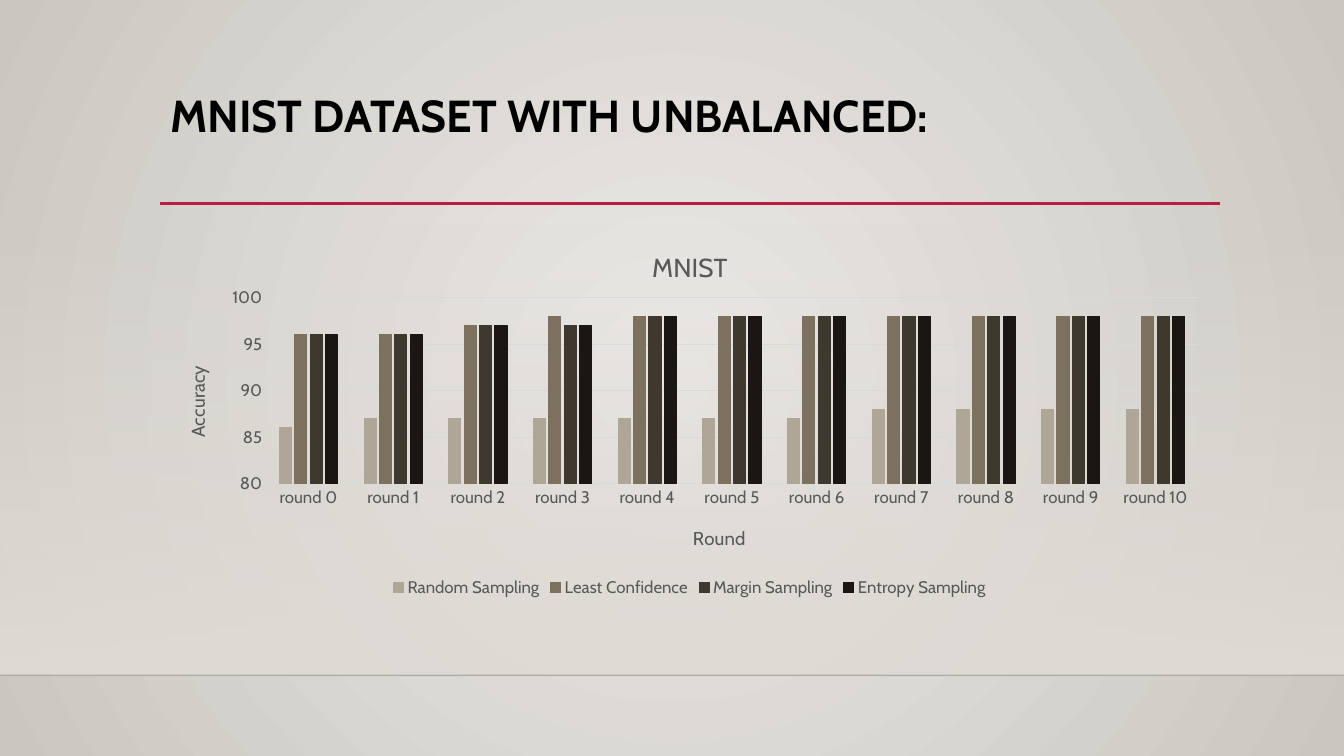
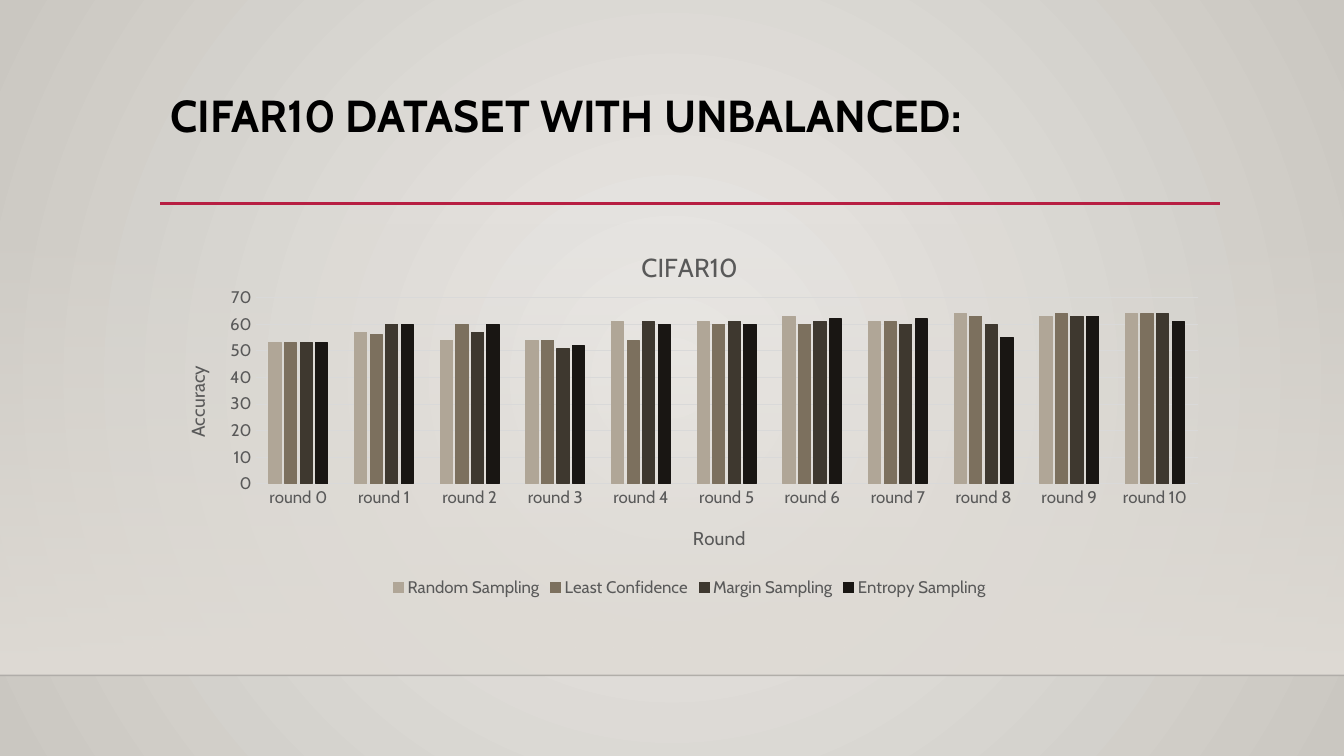
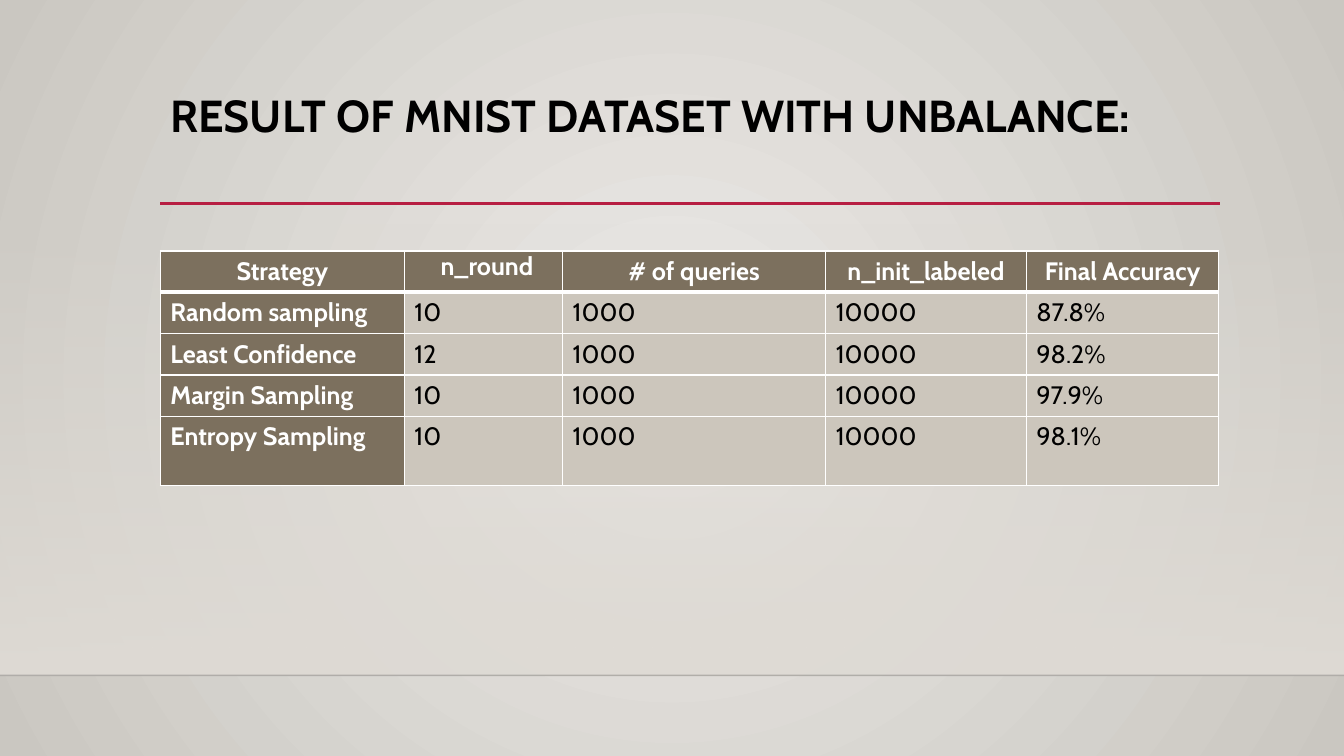
from lxml import etree
from pptx import Presentation
from pptx.chart.data import CategoryChartData
from pptx.dml.color import RGBColor
from pptx.enum.chart import XL_CHART_TYPE, XL_LEGEND_POSITION, XL_TICK_MARK
from pptx.enum.shapes import MSO_CONNECTOR, MSO_SHAPE, PP_PLACEHOLDER
from pptx.enum.text import MSO_ANCHOR, MSO_AUTO_SIZE, PP_ALIGN
from pptx.oxml.ns import qn
from pptx.util import Inches, Pt

COLUMNS = XL_CHART_TYPE.COLUMN_CLUSTERED
BOTTOM = XL_LEGEND_POSITION.BOTTOM
NO_TICK = XL_TICK_MARK.NONE
STRAIGHT = MSO_CONNECTOR.STRAIGHT
RECTANGLE = MSO_SHAPE.RECTANGLE
TITLE = PP_PLACEHOLDER.TITLE
TOP = MSO_ANCHOR.TOP
NO_AUTOFIT = MSO_AUTO_SIZE.NONE
LEFT, CENTER = PP_ALIGN.LEFT, PP_ALIGN.CENTER

FONT = "Cabin"
TITLE_ONLY = 5
MARGIN, CONTENT_WIDTH = 1.59, 10.5
COLORS = {
    "center": "ECEAE7",
    "edge": "CAC7C1",
    "band": "DFDBD5",
    "floor": "000001",
    "accent": "B71E42",
    "black": "000000",
    "white": "FFFFFF",
    "chart_text": "595959",
    "grid": "D9D9D9",
    "header": "7C705E",
    "body": "CCC6BC",
}
SERIES_COLORS = {
    "Random Sampling": "B0A697",
    "Least Confidence": "7C705E",
    "Margin Sampling": "3E382F",
    "Entropy Sampling": "191613",
}
ROUNDS = [f"round {number}" for number in range(11)]

MNIST = {
    "title": "MNIST",
    "title_left": 0.46,
    "plot_left": 0.1,
    "scale": (80, 100, 5),
    "values": [
        [86, 87, 87, 87, 87, 87, 87, 88, 88, 88, 88],
        [96, 96, 97, 98, 98, 98, 98, 98, 98, 98, 98],
        [96, 96, 97, 97, 98, 98, 98, 98, 98, 98, 98],
        [96, 96, 97, 97, 98, 98, 98, 98, 98, 98, 98],
    ],
}
CIFAR10 = {
    "title": "CIFAR10",
    "title_left": 0.45,
    "plot_left": 0.09,
    "scale": (0, 70, 10),
    "values": [
        [53, 57, 54, 54, 61, 61, 63, 61, 64, 63, 64],
        [53, 56, 60, 54, 54, 60, 60, 61, 63, 64, 64],
        [53, 60, 57, 51, 61, 61, 61, 60, 60, 63, 64],
        [53, 60, 60, 52, 60, 60, 62, 62, 55, 63, 61],
    ],
}
RESULTS = [
    ["Strategy", "n_round", "# of queries", "n_init_labeled", "Final Accuracy"],
    ["Random sampling", "10", "1000", "10000", "87.8%"],
    ["Least Confidence", "12", "1000", "10000", "98.2%"],
    ["Margin Sampling", "10", "1000", "10000", "97.9%"],
    ["Entropy Sampling", "10", "1000", "10000", "98.1%"],
]
COLUMN_WIDTHS = [2.42, 1.57, 2.61, 1.99, 1.91]
ROW_HEIGHTS = [0.41, 0.41, 0.41, 0.41, 0.69]


def rgb(value):
    return RGBColor.from_string(value)


def style_font(font, size, color, bold=False):
    font.name = FONT
    font.size = Pt(size)
    font.bold = bold
    font.color.rgb = rgb(color)


def style_line(line, color, width):
    line.color.rgb = rgb(color)
    line.width = Pt(width)


def set_alpha(element, percent):
    color = next(element.iter(qn("a:srgbClr")))
    etree.SubElement(color, qn("a:alpha"), val=str(percent * 1000))


def fill_gradient(fill, *colors):
    fill.gradient()
    for stop, color in zip(fill.gradient_stops, colors):
        stop.color.rgb = rgb(color)


def set_background(master):
    fill = master.background.fill
    fill_gradient(fill, COLORS["center"], COLORS["edge"])
    gradient = next(master._element.cSld.iter(qn("a:gradFill")))
    gradient.remove(gradient.find(qn("a:lin")))
    circle = etree.SubElement(gradient, qn("a:path"), path="circle")
    sides = dict.fromkeys("ltrb", "50000")
    etree.SubElement(circle, qn("a:fillToRect"), **sides)


def add_rule(slide, left, right, top, color, width):
    rule = slide.shapes.add_connector(
        STRAIGHT, Inches(left), Inches(top), Inches(right), Inches(top))
    style_line(rule.line, color, width)
    etree.SubElement(rule._element.spPr, qn("a:effectLst"))
    return rule


def add_band(slide):
    band = slide.shapes.add_shape(
        RECTANGLE, 0, Inches(2.21), Inches(13.33), Inches(4.49))
    band.shadow.inherit = False
    band.line.fill.background()
    fill_gradient(band.fill, COLORS["band"], COLORS["band"])
    band.fill.gradient_angle = 270
    set_alpha(band._element.spPr, 0)
    return band


def decorate_master(master, slide):
    set_background(master)
    floor = add_rule(slide, 0, 13.33, 6.7, COLORS["floor"], 1)
    set_alpha(floor._element.spPr, 20)
    accent = add_rule(slide, MARGIN, 12.1, 2.02, COLORS["accent"], 2.5)
    tree = master.shapes._spTree
    for position, shape in enumerate([add_band(slide), floor, accent], start=2):
        tree.insert(position, shape._element)

    title = master.placeholders.get(TITLE)
    title.left, title.top = Inches(MARGIN), Inches(0.88)
    title.width, title.height = Inches(CONTENT_WIDTH), Inches(1.15)
    title.text_frame.vertical_anchor = TOP
    title.text_frame.auto_size = NO_AUTOFIT


def add_slide(deck, heading):
    slide = deck.slides.add_slide(deck.slide_layouts[TITLE_ONLY])
    frame = slide.shapes.title.text_frame
    frame.text = heading
    para = frame.paragraphs[0]
    para.alignment = LEFT
    para.line_spacing = 0.9
    style_font(para.runs[0].font, 32, COLORS["black"], True)
    return slide


def set_layout(parent, position, **settings):
    layout = parent.find(qn("c:layout"))
    if layout is None:
        layout = etree.Element(qn("c:layout"))
        parent.insert(position, layout)
    manual = etree.SubElement(layout, qn("c:manualLayout"))
    for name, value in settings.items():
        etree.SubElement(manual, qn(f"c:{name}"), val=str(value))


def set_chart_title(title, text, size, left, top):
    title.text_frame.text = text
    span = title.text_frame.paragraphs[0].runs[0]
    style_font(span.font, size, COLORS["chart_text"])
    set_layout(title._element, 1, xMode="edge", yMode="edge", x=left, y=top)


def style_axis(axis, text, left, top):
    axis.major_tick_mark = NO_TICK
    axis.minor_tick_mark = NO_TICK
    style_font(axis.tick_labels.font, 12, COLORS["chart_text"])
    set_chart_title(axis.axis_title, text, 13.3, left, top)


def add_accuracy_chart(slide, content):
    data = CategoryChartData()
    data.categories = ROUNDS
    for name, values in zip(SERIES_COLORS, content["values"]):
        data.add_series(name, values)
    chart = slide.shapes.add_chart(
        COLUMNS, Inches(MARGIN), Inches(2.2),
        Inches(CONTENT_WIDTH), Inches(3.77), data).chart
    style_font(chart.font, 10, COLORS["black"])
    set_chart_title(
        chart.chart_title, content["title"], 18.6, content["title_left"], 0.06)

    style_axis(chart.category_axis, "Round", 0.5, 0.79)
    style_line(chart.category_axis.format.line, COLORS["grid"], 0.75)
    value_axis = chart.value_axis
    style_axis(value_axis, "Accuracy", 0.02, 0.37)
    value_axis.axis_title.text_frame._txBody.bodyPr.set("rot", "-5400000")
    value_axis.format.line.fill.background()
    style_line(value_axis.major_gridlines.format.line, COLORS["grid"], 0.75)
    scale = content["scale"]
    value_axis.minimum_scale, value_axis.maximum_scale, value_axis.major_unit = scale

    plot = chart.plots[0]
    plot.gap_width, plot.overlap = 219, -27
    plot.vary_by_categories = False
    for series, color in zip(plot.series, SERIES_COLORS.values()):
        series.format.fill.solid()
        series.format.fill.fore_color.rgb = rgb(color)
        style_line(series.format.line, color, 0.75)

    chart.has_legend = True
    chart.legend.position = BOTTOM
    chart.legend.include_in_layout = False
    style_font(chart.legend.font, 12, COLORS["chart_text"])
    left = content["plot_left"]
    set_layout(
        chart._chartSpace.chart.plotArea, 0, layoutTarget="inner",
        xMode="edge", yMode="edge", x=left, y=0.2, w=round(0.98 - left, 2), h=0.49)


def set_borders(cell, widths):
    properties = cell._tc.get_or_add_tcPr()
    for side, width in widths.items():
        border = etree.SubElement(properties, qn(f"a:ln{side}"), w=str(Pt(width)))
        solid = etree.SubElement(border, qn("a:solidFill"))
        etree.SubElement(solid, qn("a:srgbClr"), val=COLORS["white"])


def fill_cell(cell, text, row, column):
    strong = row == 0 or column == 0
    set_borders(cell, {
        "L": 1, "R": 1, "T": 3 if row == 1 else 1, "B": 3 if row == 0 else 1})
    cell.fill.solid()
    cell.fill.fore_color.rgb = rgb(COLORS["header" if strong else "body"])
    cell.text_frame.text = text
    para = cell.text_frame.paragraphs[0]
    para.alignment = CENTER if row == 0 else LEFT
    style_font(para.runs[0].font, 18, COLORS["white" if strong else "black"], strong)


def add_results_table(slide):
    table = slide.shapes.add_table(
        len(RESULTS), len(COLUMN_WIDTHS), Inches(MARGIN), Inches(2.49),
        Inches(CONTENT_WIDTH), Inches(sum(ROW_HEIGHTS))).table
    table.first_row = table.horz_banding = False
    for column, width in zip(table.columns, COLUMN_WIDTHS):
        column.width = Inches(width)
    for row, height in zip(table.rows, ROW_HEIGHTS):
        row.height = Inches(height)
    for row, texts in enumerate(RESULTS):
        for column, text in enumerate(texts):
            fill_cell(table.cell(row, column), text, row, column)
    round_header = table.cell(0, 1)
    round_header.margin_left = Inches(0.07)
    round_header.margin_right = round_header.margin_top = 0
    round_header.margin_bottom = 0


def main():
    deck = Presentation()
    deck.slide_width, deck.slide_height = Inches(13.33), Inches(7.5)

    mnist = add_slide(deck, "MNIST DATASET WITH UNBALANCED:")
    decorate_master(deck.slide_master, mnist)
    add_accuracy_chart(mnist, MNIST)

    cifar = add_slide(deck, "CIFAR10 DATASET WITH UNBALANCED:")
    add_accuracy_chart(cifar, CIFAR10)

    results = add_slide(deck, "RESULT OF MNIST DATASET WITH UNBALANCE:")
    add_results_table(results)

    deck.save("out.pptx")


if __name__ == "__main__":
    main()
